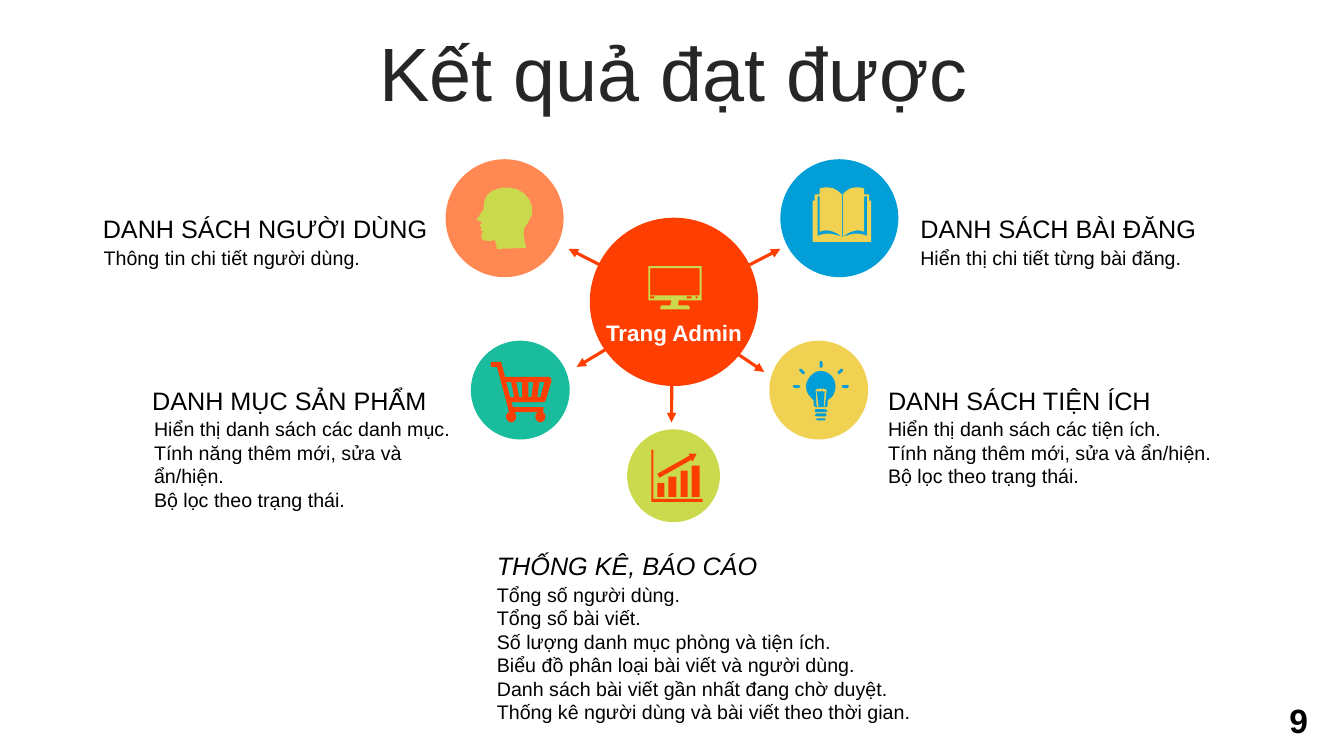
from lxml.etree import SubElement
from pptx import Presentation
from pptx.dml.color import RGBColor
from pptx.enum.shapes import MSO_CONNECTOR as Connector, MSO_SHAPE as Shape
from pptx.enum.text import MSO_ANCHOR as Anchor, MSO_AUTO_SIZE as AutoSize, PP_ALIGN as Align
from pptx.oxml.ns import qn
from pptx.util import Inches, Pt

ORANGE, LIME, YELLOW, BLUE = "FF3F02", "CADA4C", "F0D152", "019ED7"
CURVE_STEPS = 6

deck = Presentation()
deck.slide_width, deck.slide_height = Inches(13.33), Inches(7.5)
page = deck.slides.add_slide(deck.slide_layouts[6])
cell = deck.slide_width // 1333  # the page is a grid of 1333 columns by 750 rows


def paint(target, color):
    """Give a fill, or the fill of a font or line, one solid colour."""
    target.solid()
    target.fore_color.rgb = RGBColor.from_string(color)


def add_text(area, lines, size, color="000000", align=Align.LEFT, anchor=Anchor.MIDDLE,
             wrap=True, grow=True, spacing=1.0, **style):
    box = page.shapes.add_textbox(*(int(cell * n) for n in area))
    frame = box.text_frame
    frame.word_wrap, frame.vertical_anchor = wrap, anchor
    frame.auto_size = AutoSize.SHAPE_TO_FIT_TEXT if grow else AutoSize.NONE
    for index, line in enumerate(lines):
        para = frame.paragraphs[0] if index == 0 else frame.add_paragraph()
        para.alignment, para.line_spacing = align, spacing
        span = para.add_run()
        span.text = line
        for name, value in {"name": "Arial", "size": Pt(size), **style}.items():
            setattr(span.font, name, value)
        paint(span.font.fill, color)


add_text((35, 37, 1266, 79), ["Kết quả đạt được"], 54, "262626", Align.CENTER,
         grow=False, spacing=0.9)

# Heading left, body left, top, heading width, body width, body rows, alignment, italic
panels = [
    (88, 93, 207, 350, 345, 1, Align.CENTER, False, "DANH SÁCH NGƯỜI DÙNG",
     ["Thông tin chi tiết người dùng."]),
    (903, 903, 207, 350, 350, 1, Align.LEFT, False, "DANH SÁCH BÀI ĐĂNG",
     ["Hiển thị chi tiết từng bài đăng."]),
    (112, 143, 377, 350, 340, 4, Align.CENTER, False, "DANH MỤC SẢN PHẨM",
     ["Hiển thị danh sách các danh mục.", "Tính năng thêm mới, sửa và ẩn/hiện.",
      "Bộ lọc theo trạng thái."]),
    (871, 871, 377, 350, 350, 3, Align.LEFT, False, "DANH SÁCH TIỆN ÍCH",
     ["Hiển thị danh sách các tiện ích.", "Tính năng thêm mới, sửa và ẩn/hiện.",
      "Bộ lọc theo trạng thái."]),
    (483, 483, 541, 390, 433, 6, Align.LEFT, True, "THỐNG KÊ, BÁO CÁO",
     ["Tổng số người dùng.", "Tổng số bài viết.", "Số lượng danh mục phòng và tiện ích.",
      "Biểu đồ phân loại bài viết và người dùng.",
      "Danh sách bài viết gần nhất đang chờ duyệt.",
      "Thống kê người dùng và bài viết theo thời gian."]),
]
for left, body_left, top, width, body_width, rows, align, italic, heading, lines in panels:
    add_text((left, top, width, 40), [heading], 18, align=align, italic=italic)
    add_text((body_left, top + 32, body_width, 10 + 23.5 * rows), lines, 14, anchor=Anchor.TOP)

# Arrows from the hub to the topics
arrows = [(667, 309, 666, 419), (668, 300, 564, 247), (671, 300, 774, 247),
          (663, 305, 758, 369), (670, 305, 572, 364)]
for ends in arrows:
    arrow = page.shapes.add_connector(Connector.STRAIGHT, *(cell * n for n in ends))
    arrow.line.width = Pt(2.25)
    paint(arrow.line.fill, ORANGE)
    SubElement(arrow.line._get_or_add_ln(), qn("a:tailEnd"), type="triangle")
    SubElement(arrow._element.spPr, qn("a:effectLst"))

# Left, top, diameter, colour
circles = [(585, 216, 167, ORANGE), (774, 158, 117, BLUE), (442, 158, 117, "FF8853"),
           (763, 338, 98, YELLOW), (467, 338, 98, "19BD9E"), (622, 426, 92, LIME)]
for left, top, size, color in circles:
    circle = page.shapes.add_shape(Shape.OVAL, *(cell * n for n in (left, top, size, size)))
    circle.shadow.inherit = False
    paint(circle.fill, color)
    circle.line.fill.background()

add_text((587, 311, 163, 37), ["Trang Admin"], 16, "FFFFFF", Align.CENTER, bold=True)

# Outlines in grid cells: M starts a contour, L draws lines, C draws cubic curves
monitor = """M 643 264 L 696 264 696 298 673 298 673 303 682 303 C 683 303 684 304 684 305
    L 684 307 655 307 655 305 C 655 304 656 303 657 303 L 665 303 666 298 643 298
    M 645 266 L 645 293 694 293 694 266 M 645 294 L 649 294 649 296 645 296
    M 681 294 L 686 294 686 296 681 296 M 690 294 L 692 294 692 296 690 296"""
head = """M 504 186 C 492 186 484 190 481 198 C 479 205 481 207 478 210
    C 476 214 473 216 473 218 C 475 219 476 220 478 220 C 478 222 475 223 476 224 L 478 226
    C 478 226 477 227 477 228 C 477 229 479 229 479 230 C 477 233 477 236 478 237
    C 480 239 486 240 491 238 L 493 247 522 246 C 518 232 519 226 523 222
    C 536 206 522 186 504 186"""
cart_basket = """M 535 379 L 533 394 536 394 540 379 M 524 379 L 524 394 527 394 529 379
    M 512 379 L 515 394 518 394 518 379 M 502 379 L 506 394 510 394 507 379"""
cart_frame = """M 497 359 L 501 374 544 374 C 546 374 547 376 547 378 L 541 398 539 399
    507 399 509 404 539 404 539 409 538 409 C 540 410 541 411 541 413
    C 541 416 539 419 536 419 C 533 419 531 416 531 413 C 531 411 532 410 534 409 L 510 409
    C 511 410 512 412 512 413 C 512 416 510 419 507 419 C 504 419 502 416 502 413
    C 502 411 503 410 505 409 L 493 364 487 364 487 359 495 359"""
book = """M 835 235 L 836 235 C 845 232 850 230 860 234 L 860 195 857 195 857 230
    C 851 227 843 229 836 235 L 836 193 C 840 188 844 186 849 186 C 852 186 854 186 857 187
    L 857 193 862 193 862 199 864 199 864 240 806 240 806 199 808 199 808 193 813 193 813 187
    C 816 186 819 186 821 186 C 826 186 830 188 835 193 L 835 235
    C 828 229 820 227 813 230 L 813 195 811 195 811 234 C 820 230 826 232 835 235"""
bulb_glass = """M 814 368 C 818 368 822 370 825 373 C 830 379 830 388 825 394 L 821 397 821 401
    C 821 403 820 404 818 404 L 810 404 C 809 404 807 403 807 401 L 807 397
    C 806 396 805 395 804 394 C 798 388 798 379 804 373 C 807 370 810 368 814 368"""
bulb_filament = """M 812 385 L 811 385 811 386 810 386 809 387 810 403 811 404 812 403
    810 388 811 388 812 389 813 388 814 389 815 388 816 388 817 389 818 388 817 403
    818 404 820 387 819 386 818 386 817 385 816 386 815 386 814 385 813 386 812 386"""
bulb_base = """M 811 415 L 818 415 819 416 818 417 811 417 809 416
    M 810 410 L 819 410 820 412 819 413 810 413 808 412
    M 809 406 L 819 406 821 408 819 409 809 409 808 408"""
bulb_rays = """M 788 382 L 792 382 794 383 792 385 788 385 786 383
    M 836 382 L 841 382 842 383 841 385 836 385 835 383
    M 835 366 L 836 366 836 368 833 371 831 371 831 369 834 366
    M 794 366 L 795 366 798 369 798 371 796 371 793 368 793 366
    M 814 358 L 816 359 816 364 814 365 813 364 813 359"""
chart = """M 652 479 L 659 479 659 493 652 493 M 663 473 L 671 473 671 493 663 493
    M 675 467 L 682 467 682 493 675 493 M 686 462 L 694 462 694 493 686 493
    M 683 450 L 691 450 687 458 686 456 654 474 652 470 684 452
    M 646 446 L 648 446 648 495 697 495 697 498 646 498"""
icons = [([monitor], LIME), ([head], LIME), ([cart_frame, cart_basket], ORANGE),
         ([book], YELLOW), ([bulb_glass, bulb_filament, bulb_base, bulb_rays], BLUE),
         ([chart], ORANGE)]

for outlines, color in icons:
    contours, pending, numbers, command = [], [], [], ""
    for token in " ".join(outlines).split():
        if token in ("M", "L", "C"):
            command, pending = token, []
            continue
        numbers.append(10 * int(token))
        if len(numbers) < 2:
            continue
        point, numbers = tuple(numbers), []
        if command == "M":
            contours.append([point])
        elif command == "L":
            contours[-1].append(point)
        else:
            pending.append(point)
            if len(pending) == 3:
                knots = [contours[-1][-1], *pending]
                for step in range(1, CURVE_STEPS + 1):
                    t = step / CURVE_STEPS
                    weights = ((1 - t) ** 3, 3 * t * (1 - t) ** 2, 3 * t * t * (1 - t), t ** 3)
                    contours[-1].append(tuple(
                        sum(w * knot[axis] for w, knot in zip(weights, knots))
                        for axis in (0, 1)))
                pending = []
    builder = page.shapes.build_freeform(*contours[0][0], scale=cell / 10)
    for index, contour in enumerate(contours):
        if index:
            builder.move_to(*contour[0])
        builder.add_line_segments(contour[1:], close=True)
    icon = builder.convert_to_shape()
    icon.shadow.inherit = False
    paint(icon.fill, color)
    icon.line.fill.background()

add_text((1269, 689, 39, 50), ["9"], 24, anchor=Anchor.TOP, wrap=False, bold=True)

deck.save("out.pptx")
